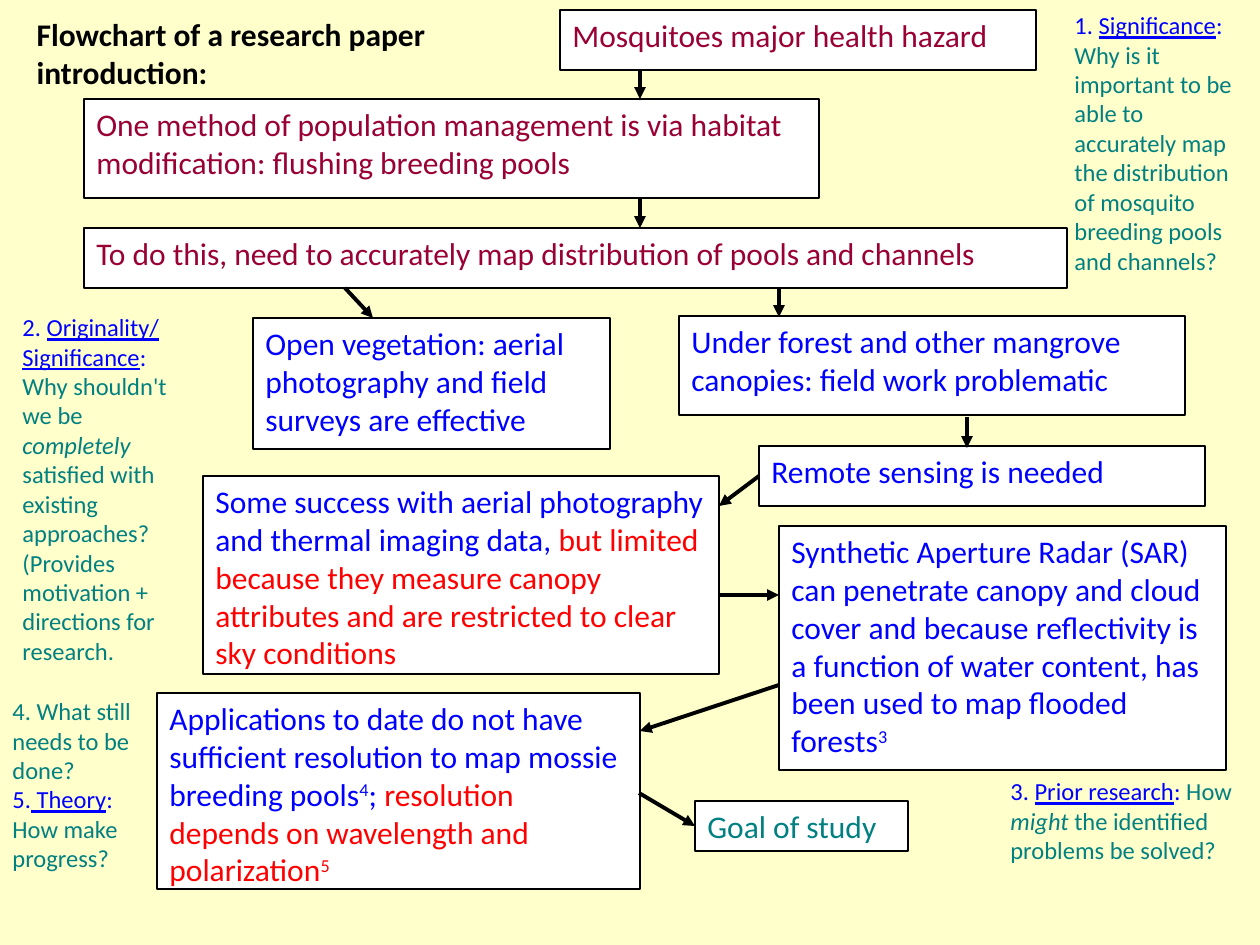
from dataclasses import dataclass
from typing import NamedTuple

from lxml.etree import SubElement
from pptx import Presentation
from pptx.dml.color import RGBColor
from pptx.enum.shapes import MSO_CONNECTOR, MSO_SHAPE
from pptx.enum.text import MSO_ANCHOR, MSO_AUTO_SIZE, PP_ALIGN
from pptx.oxml.ns import qn
from pptx.util import Emu, Pt

PX = 914400 / 126
FONT = "Calibri"
COLORS = {
    "paper": "FFFFCC",
    "white": "FFFFFF",
    "black": "000000",
    "wine": "990033",
    "blue": "0000FF",
    "red": "FF0000",
    "teal": "008080",
}


class Run(NamedTuple):
    text: str
    color: str
    mark: str = ""  # "u" underline, "i" italic, "^" superscript


class Rect(NamedTuple):
    left: int
    top: int
    width: int
    height: int


@dataclass
class Step:
    rect: Rect
    runs: list[Run]


@dataclass
class Note:
    rect: Rect
    paras: list[list[Run]]


class Arrow(NamedTuple):
    x1: int
    y1: int
    x2: int
    y2: int


STEPS = [
    Step(Rect(560, 10, 476, 60), [Run("Mosquitoes major health hazard", "wine")]),
    Step(Rect(84, 99, 735, 99), [
        Run("One method of population management is via habitat modification: "
            "flushing breeding pools", "wine")]),
    Step(Rect(84, 228, 983, 60), [
        Run("To do this, need to accurately map distribution of pools and channels",
            "wine")]),
    Step(Rect(253, 318, 357, 131), [
        Run("Open vegetation: aerial photography and field surveys are effective",
            "blue")]),
    Step(Rect(679, 316, 506, 99), [
        Run("Under forest and other mangrove canopies: field work problematic",
            "blue")]),
    Step(Rect(759, 446, 446, 60), [Run("Remote sensing is needed", "blue")]),
    Step(Rect(203, 476, 516, 198), [
        Run("Some success with aerial photography and thermal imaging data, ", "blue"),
        Run("but limited because they measure canopy attributes and are restricted "
            "to clear sky conditions", "red")]),
    Step(Rect(779, 526, 447, 244), [
        Run("Synthetic Aperture Radar (SAR) can penetrate canopy and cloud cover "
            "and because reflectivity is a function of water content, has been used "
            "to map flooded forests", "blue"),
        Run("3", "blue", "^")]),
    Step(Rect(157, 693, 483, 196), [
        Run("Applications to date do not have sufficient resolution to map mossie "
            "breeding pools", "blue"),
        Run("4", "blue", "^"),
        Run("; ", "blue"),
        Run("resolution depends on wavelength and polarization", "red"),
        Run("5", "red", "^")]),
    Step(Rect(695, 801, 213, 50), [Run("Goal of study", "teal")]),
]

ARROWS = [
    Arrow(640, 70, 640, 99),
    Arrow(640, 199, 640, 228),
    Arrow(345, 288, 373, 318),
    Arrow(779, 288, 779, 317),
    Arrow(967, 417, 967, 448),
    Arrow(759, 476, 719, 506),
    Arrow(719, 595, 779, 595),
    Arrow(779, 685, 640, 731),
    Arrow(639, 793, 695, 826),
]

NOTES = [
    Note(Rect(1062, 4, 194, 280), [[
        Run("1. ", "blue"), Run("Significance", "blue", "u"), Run(":", "blue"),
        Run(" Why is it important to be able to accurately map the distribution of "
            "mosquito breeding pools and channels?", "teal")]]),
    Note(Rect(10, 306, 194, 369), [[
        Run("2. ", "blue"), Run("Originality/ Significance", "blue", "u"),
        Run(":", "blue"), Run(" Why shouldn't we be ", "teal"),
        Run("completely ", "teal", "i"),
        Run("satisfied with existing approaches? (Provides motivation + directions "
            "for research.", "teal")]]),
    Note(Rect(0, 690, 157, 190), [
        [Run("4. What still needs to be done?", "teal")],
        [Run("5.", "blue"), Run(" Theory", "blue", "u"), Run(":", "blue"),
         Run(" How make progress?", "teal")]]),
    Note(Rect(998, 770, 261, 131), [[
        Run("3. ", "blue"), Run("Prior research", "blue", "u"), Run(":", "blue"),
        Run(" How ", "teal"), Run("might ", "teal", "i"),
        Run("the identified problems be solved?", "teal")]]),
]


def px(num: int) -> Emu:
    return Emu(round(num * PX))


def rgb(name: str) -> RGBColor:
    return RGBColor.from_string(COLORS[name])


def write(shape, paras: list[list[Run]], *, size: int, bold: bool = False) -> None:
    frame = shape.text_frame
    frame.word_wrap = True
    frame.auto_size = MSO_AUTO_SIZE.NONE
    frame.vertical_anchor = MSO_ANCHOR.TOP
    for num, runs in enumerate(paras):
        para = frame.add_paragraph() if num else frame.paragraphs[0]
        para.alignment = PP_ALIGN.LEFT
        for part in runs:
            run = para.add_run()
            run.text = part.text
            font = run.font
            font.name, font.size, font.bold = FONT, Pt(size), bold
            font.color.rgb = rgb(part.color)
            font.underline = part.mark == "u"
            font.italic = part.mark == "i"
            if part.mark == "^":
                run._r.get_or_add_rPr().set("baseline", "30000")


def draw_step(slide, step: Step) -> None:
    box = slide.shapes.add_shape(MSO_SHAPE.RECTANGLE, *map(px, step.rect))
    box.shadow.inherit = False
    box.fill.solid()
    box.fill.fore_color.rgb = rgb("white")
    box.line.color.rgb = rgb("black")
    box.line.width = Pt(0.75)
    write(box, [step.runs], size=18)


def draw_arrow(slide, arrow: Arrow) -> None:
    link = slide.shapes.add_connector(MSO_CONNECTOR.STRAIGHT, *map(px, arrow))
    link.line.color.rgb = rgb("black")
    link.line.width = Pt(2.25)
    SubElement(link.line._get_or_add_ln(), qn("a:tailEnd"), type="triangle")
    SubElement(link._element.spPr, qn("a:effectLst"))


def draw_note(slide, note: Note) -> None:
    write(slide.shapes.add_textbox(*map(px, note.rect)), note.paras, size=14)


def draw_title(slide, text: str, rect: Rect) -> None:
    title = slide.shapes.title
    title.left, title.top, title.width, title.height = map(px, rect)
    write(title, [[Run(text, "black")]], size=18, bold=True)


def main() -> None:
    deck = Presentation()
    deck.slide_width, deck.slide_height = px(1260), px(945)
    slide = deck.slides.add_slide(deck.slide_layouts[5])
    slide.background.fill.solid()
    slide.background.fill.fore_color.rgb = rgb("paper")
    draw_title(slide, "Flowchart of a research paper introduction:",
               Rect(24, 9, 535, 89))
    for step in STEPS:
        draw_step(slide, step)
    for arrow in ARROWS:
        draw_arrow(slide, arrow)
    for note in NOTES:
        draw_note(slide, note)
    deck.save("out.pptx")


if __name__ == "__main__":
    main()
